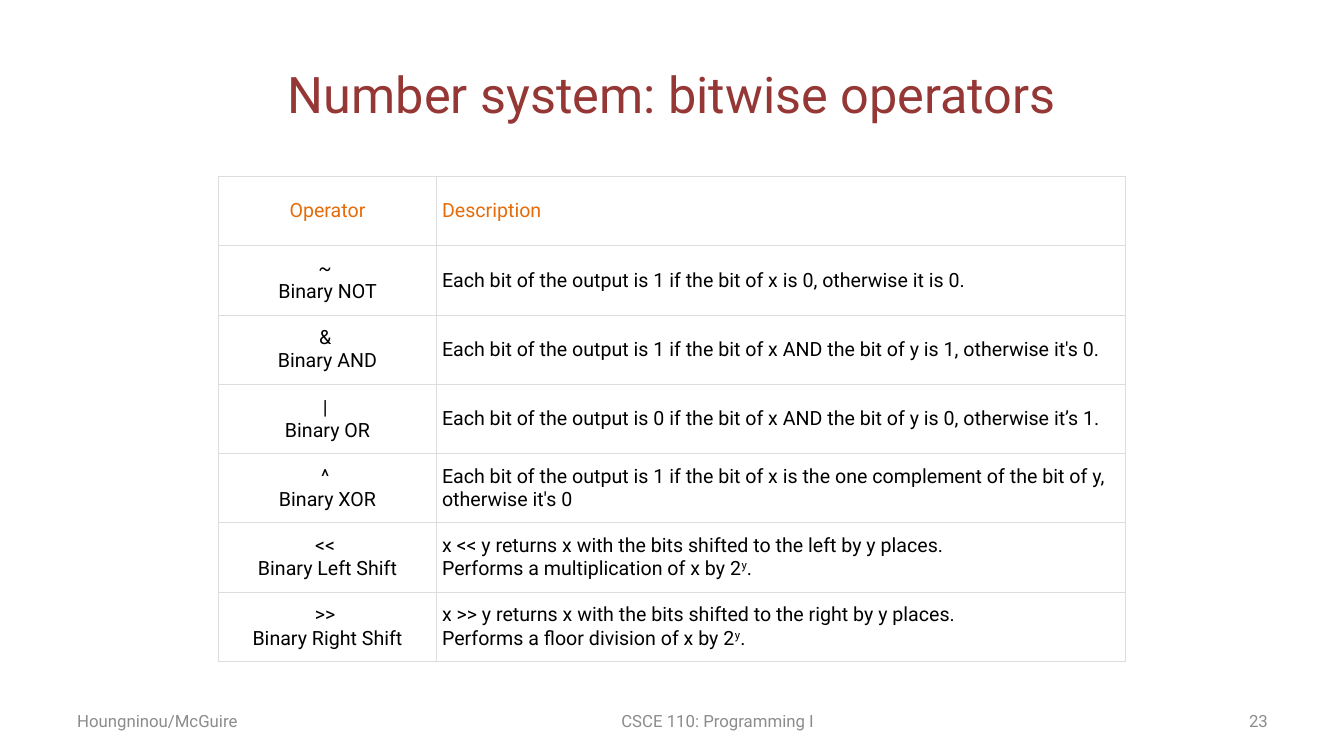
from dataclasses import dataclass

from lxml.etree import SubElement
from pptx import Presentation
from pptx.dml.color import RGBColor
from pptx.enum.text import MSO_ANCHOR, PP_ALIGN
from pptx.oxml.ns import qn
from pptx.util import Emu, Pt

EMU_PER_PX = 9525
FONT = "Roboto"
ORANGE, BLACK, BORDER = "E46C0A", "000000", "DDDDDD"
LEFT, CENTER, RIGHT = PP_ALIGN.LEFT, PP_ALIGN.CENTER, PP_ALIGN.RIGHT
COLUMN_WIDTHS = (208, 656)
ROW_HEIGHT = 66


@dataclass
class Label:
    text: str
    x: int
    y: int
    w: int
    h: int
    size: int
    color: str
    align: PP_ALIGN


@dataclass
class Operator:
    symbol: str
    name: str
    description: str
    power: bool = False


LABELS = [
    Label("Number system: bitwise operators", 64, 29, 1152, 120, 36, "953735", CENTER),
    Label("23", 918, 667, 299, 38, 12, "8C8C8C", RIGHT),
    Label("Houngninou/McGuire", 64, 667, 299, 38, 12, "8C8C8C", LEFT),
    Label("CSCE 110: Programming I", 438, 667, 491, 38, 12, "8C8C8C", CENTER),
]

OPERATORS = [
    Operator("~", "Binary NOT",
             "Each bit of the output is 1 if the bit of x is 0, otherwise it is 0."),
    Operator("&", "Binary AND",
             "Each bit of the output is 1 if the bit of x AND the bit of y is 1, otherwise it's 0."),
    Operator("|", "Binary OR",
             "Each bit of the output is 0 if the bit of x AND the bit of y is 0, otherwise it’s 1."),
    Operator("^", "Binary XOR",
             "Each bit of the output is 1 if the bit of x is the one complement of the bit of y, "
             "otherwise it's 0"),
    Operator("<<", "Binary Left Shift",
             "x << y returns x with the bits shifted to the left by y places.\n"
             "Performs a multiplication of x by 2", power=True),
    Operator(">>", "Binary Right Shift",
             "x >> y returns x with the bits shifted to the right by y places.\n"
             "Performs a floor division of x by 2", power=True),
]


def px(n: int) -> Emu:
    return Emu(n * EMU_PER_PX)


def rgb(color: str) -> RGBColor:
    return RGBColor.from_string(color)


def format_text(tf, size: int, color: str, align: PP_ALIGN) -> None:
    for p in tf.paragraphs:
        p.alignment = align
        for r in p.runs:
            r.font.name = FONT
            r.font.size = Pt(size)
            r.font.bold = False
            r.font.color.rgb = rgb(color)


def add_label(s, label: Label) -> None:
    sp = s.shapes.add_textbox(px(label.x), px(label.y), px(label.w), px(label.h))
    tf = sp.text_frame
    tf.word_wrap = True
    tf.vertical_anchor = MSO_ANCHOR.MIDDLE
    tf.text = label.text
    format_text(tf, label.size, label.color, label.align)


def add_power(p) -> None:
    r = p.add_run()
    r.text = "y"
    r._r.get_or_add_rPr().set("baseline", "30000")
    p.add_run().text = "."


def set_borders(cell) -> None:
    tc_pr = cell._tc.get_or_add_tcPr()
    for i, side in enumerate(("lnL", "lnR", "lnT", "lnB")):
        ln = SubElement(tc_pr, qn(f"a:{side}"), w=str(Pt(0.75)))
        fill = SubElement(ln, qn("a:solidFill"))
        SubElement(fill, qn("a:srgbClr"), val=BORDER)
        tc_pr.insert(i, ln)


def fill_cell(cell, text: str, color: str, align: PP_ALIGN, power: bool = False) -> None:
    cell.fill.background()
    set_borders(cell)
    cell.vertical_anchor = MSO_ANCHOR.MIDDLE
    cell.margin_left = cell.margin_right = px(5)
    cell.margin_top = cell.margin_bottom = px(5)
    tf = cell.text_frame
    tf.text = text
    if power:
        add_power(tf.paragraphs[-1])
    format_text(tf, 14, color, align)


def add_operator_table(s) -> None:
    rows = len(OPERATORS) + 1
    frame = s.shapes.add_table(rows, len(COLUMN_WIDTHS), px(208), px(168),
                               px(sum(COLUMN_WIDTHS)), px(rows * ROW_HEIGHT))
    table = frame.table
    table.first_row = False
    table.horz_banding = False
    for column, width in zip(table.columns, COLUMN_WIDTHS):
        column.width = px(width)
    for row in table.rows:
        row.height = px(ROW_HEIGHT)
    fill_cell(table.cell(0, 0), "Operator", ORANGE, CENTER)
    fill_cell(table.cell(0, 1), "Description", ORANGE, LEFT)
    for i, op in enumerate(OPERATORS, start=1):
        fill_cell(table.cell(i, 0), f"{op.symbol} \n{op.name}", BLACK, CENTER)
        fill_cell(table.cell(i, 1), op.description, BLACK, LEFT, op.power)


def main() -> None:
    prs = Presentation()
    prs.slide_width, prs.slide_height = px(1280), px(720)
    s = prs.slides.add_slide(prs.slide_layouts[6])
    title, *footers = LABELS
    add_label(s, title)
    add_operator_table(s)
    for footer in footers:
        add_label(s, footer)
    prs.save("out.pptx")


if __name__ == "__main__":
    main()
